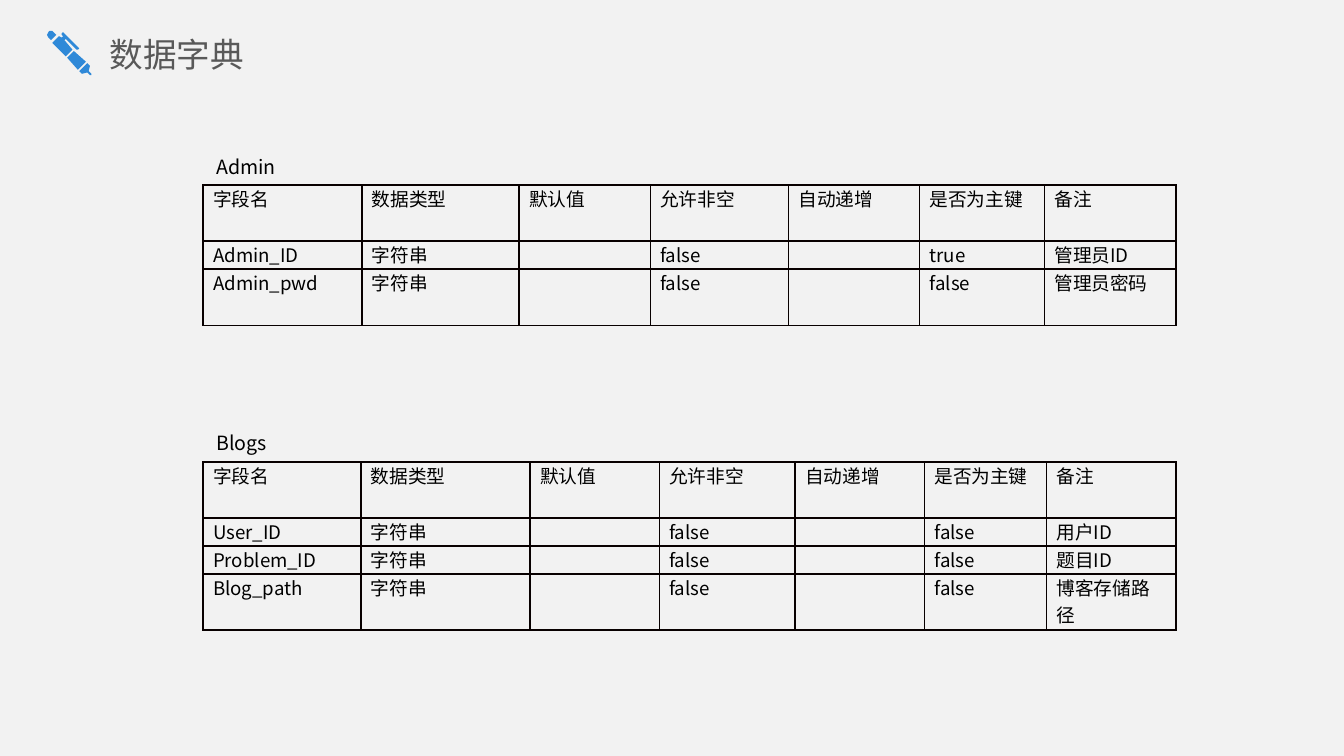
"""Build the data dictionary slide: a title, a pen icon and two field tables."""
from dataclasses import dataclass

from lxml.etree import SubElement
from pptx import Presentation
from pptx.dml.color import RGBColor as Rgb
from pptx.enum.text import MSO_ANCHOR as Anchor
from pptx.oxml import parse_xml
from pptx.oxml.ns import nsdecls, qn
from pptx.util import Cm, Pt


@dataclass(frozen=True)
class Theme:
    font: str = "Noto Sans CJK SC"
    paper: str = "F2F2F2"
    accent: str = "2F89D8"
    heading: str = "595959"
    ink: str = "000000"
    border: str = "080000"
    title_size: float = 18
    caption_size: float = 10.5
    cell_size: float = 10


theme = Theme()


def write(frame, text, *, size, color=theme.ink, side=0.25, edge=0.13, anchor=Anchor.TOP):
    frame.margin_left = frame.margin_right = Cm(side)
    frame.margin_top = frame.margin_bottom = Cm(edge)
    frame.vertical_anchor = anchor
    frame.word_wrap = True
    para = frame.paragraphs[0]
    if text:
        span = para.add_run()
        span.text = text
        span.font.size = Pt(size)
        span.font.name = theme.font
        span.font.color.rgb = Rgb.from_string(color)
        SubElement(span.font._element, qn("a:ea"), typeface=theme.font)
    else:
        SubElement(para._p, qn("a:endParaRPr"), sz=str(int(size * 100)))


def draw_borders(cell):
    for index, side in enumerate("LRTB"):
        line = parse_xml(
            f'<a:ln{side} {nsdecls("a")} w="{Pt(1)}"><a:solidFill>'
            f'<a:srgbClr val="{theme.border}"/></a:solidFill></a:ln{side}>'
        )
        cell._tc.get_or_add_tcPr().insert(index, line)


deck = Presentation()
deck.slide_width, deck.slide_height = Cm(25.4), Cm(14.29)
page = deck.slides.add_slide(deck.slide_layouts[6])
page.background.fill.solid()
page.background.fill.fore_color.rgb = Rgb.from_string(theme.paper)

pen_tip = [(65, 47), (59, 53), (61, 55), (65, 54), (67, 56), (68, 56.5), (68.5, 56),
           (68, 55), (66, 53), (67, 49)]
pen_barrel = [(55, 38), (50, 43), (58, 52), (64, 46)]
pen_clip = [(48, 25), (47, 24.3), (46, 25), (46, 26), (47, 27), (46, 28), (44, 27),
            (39, 32), (49, 42), (54, 37), (48, 30), (49, 29), (57, 37), (58, 37),
            (58.6, 36), (58, 35)]
pen_cap = [(38, 23), (37, 23.3), (36, 24), (35.3, 26), (36, 28), (38, 30), (42, 26),
           (40, 24), (39, 23.3)]
builder = page.shapes.build_freeform(*pen_tip[0], scale=Cm(0.0254))
builder.add_line_segments(pen_tip[1:])
for outline in (pen_barrel, pen_clip, pen_cap):
    builder.move_to(*outline[0])
    builder.add_line_segments(outline[1:])
pen = builder.convert_to_shape()
pen.shadow.inherit = False
pen.fill.solid()
pen.fill.fore_color.rgb = Rgb.from_string(theme.accent)
pen.line.fill.background()

title = page.shapes.add_textbox(Cm(2.07), Cm(0.48), Cm(17.42), Cm(1.07))
write(title.text_frame, "数据字典", size=theme.title_size, color=theme.heading,
      side=0, anchor=Anchor.MIDDLE)

header = ["字段名", "数据类型", "默认值", "允许非空", "自动递增", "是否为主键", "备注"]
left, caption_height, line_height = 3.84, 0.71, 0.53
entities = [
    ("Admin", 2.79, [3, 2.97, 2.48, 2.61, 2.48, 2.36, 2.48],
     [("Admin_ID", "true", "管理员ID"),
      ("Admin_pwd", "false", "管理员密码")]),
    ("Blogs", 8.02, [2.98, 3.2, 2.44, 2.57, 2.44, 2.31, 2.44],
     [("User_ID", "false", "用户ID"),
      ("Problem_ID", "false", "题目ID"),
      ("Blog_path", "false", "博客存储路径")]),
]

for name, top, widths, fields in entities:
    caption = page.shapes.add_textbox(Cm(left), Cm(top), Cm(17.73), Cm(caption_height))
    write(caption.text_frame, name, size=theme.caption_size)

    rows = [header] + [[field, "字符串", "", "false", "", key, note]
                       for field, key, note in fields]
    heights = [2 * line_height] + [line_height] * (len(fields) - 1) + [2 * line_height]
    table = page.shapes.add_table(
        len(rows), len(header), Cm(left), Cm(top + caption_height),
        Cm(sum(widths)), Cm(sum(heights))).table
    table.first_row = table.horz_banding = False
    for column, width in zip(table.columns, widths):
        column.width = Cm(width)
    for row, height, values in zip(table.rows, heights, rows):
        row.height = Cm(height)
        for cell, value in zip(row.cells, values):
            cell.fill.background()
            draw_borders(cell)
            cell.margin_left = cell.margin_right = Cm(0.19)
            cell.margin_top = cell.margin_bottom = 0
            write(cell.text_frame, value, size=theme.cell_size, side=0.19, edge=0)

deck.save("out.pptx")
